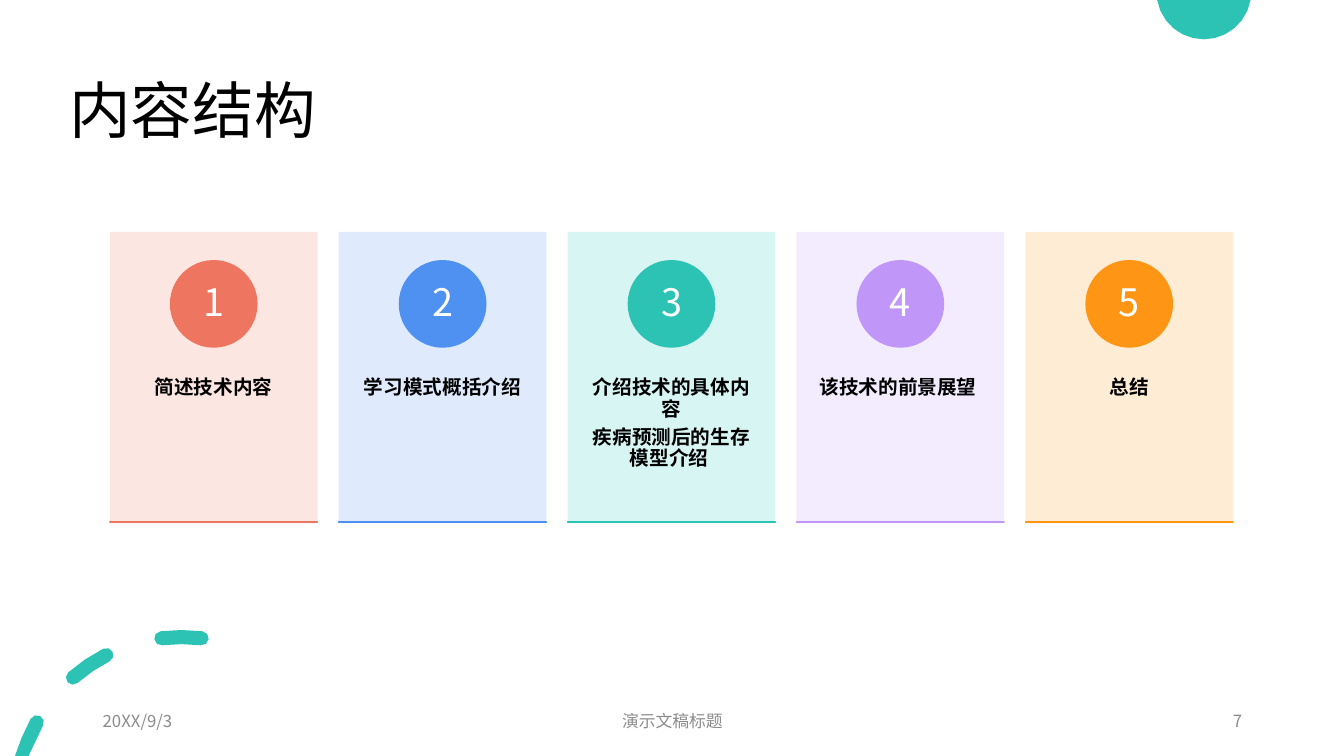
from dataclasses import dataclass
from math import asin, cos, degrees, radians, sin

from lxml.etree import SubElement
from pptx import Presentation
from pptx.dml.color import RGBColor as Rgb
from pptx.enum.shapes import MSO_SHAPE as Kind
from pptx.enum.text import MSO_ANCHOR as Anchor, MSO_AUTO_SIZE as Fit, PP_ALIGN as Align
from pptx.oxml.ns import qn
from pptx.util import Inches, Pt


@dataclass(frozen=True)
class Theme:
    """Colours, font and type sizes of the slide."""
    font: str = "Noto Sans CJK SC"
    ink: str = "000000"
    white: str = "FFFFFF"
    grey: str = "8C8C8C"
    teal: str = "2CC3B4"
    tints: tuple = ("FCE4DF", "DCE9FC", "D3F5F2", "F2EAFE", "FFEAD0")
    tones: tuple = ("EE7661", "4E91F0", "2CC3B4", "C097F8", "FF9514")
    title: int = 44
    digit: int = 27
    label: int = 14
    foot: int = 12


THEME = Theme()
WIDE, HIGH = 13.33, 7.5
TOPICS = (
    ["简述技术内容"],
    ["学习模式概括介绍"],
    ["介绍技术的具体内容", "疾病预测后的生存模型介绍\u00a0"],
    ["该技术的前景展望\u00a0"],
    ["总结"],
)


def paint(shape, color, alpha=None):
    """Fill a shape with one colour, without line or shadow."""
    shape.shadow.inherit = False
    shape.fill.solid()
    shape.fill.fore_color.rgb = Rgb.from_string(color)
    shape.line.fill.background()
    if alpha:
        tint = shape.fill._xPr.find(".//" + qn("a:srgbClr"))
        SubElement(tint, qn("a:alpha"), val=str(alpha * 1000))


def write(slide, box, lines, size, color=THEME.ink, bold=False,
          align=Align.LEFT, anchor=Anchor.MIDDLE, pad=(0.1, 0.05),
          lead=None, after=0):
    """Add a text box with one paragraph for each line."""
    frame = slide.shapes.add_textbox(*map(Inches, box)).text_frame
    frame.auto_size = Fit.NONE
    frame.word_wrap = True
    frame.vertical_anchor = anchor
    frame.margin_left = frame.margin_right = Inches(pad[0])
    frame.margin_top = frame.margin_bottom = Inches(pad[1])
    for i, line in enumerate(lines):
        para = frame.add_paragraph() if i else frame.paragraphs[0]
        para.alignment = align
        para.space_after = Pt(after)
        if lead:
            para.line_spacing = lead
        run = para.add_run()
        run.text = line
        run.font.name = THEME.font
        run.font.size = Pt(size)
        run.font.bold = bold
        run.font.color.rgb = Rgb.from_string(color)
        SubElement(run._r.get_or_add_rPr(), qn("a:ea"), typeface=THEME.font)


def outline(slide, loops, color):
    """Draw closed outlines as one filled freeform."""
    loops = [[(Inches(x), Inches(y)) for x, y in loop] for loop in loops]
    pen = slide.shapes.build_freeform(*loops[0][0], scale=1.0)
    for i, loop in enumerate(loops):
        if i:
            pen.move_to(*loop[0])
        pen.add_line_segments(loop[1:], close=True)
    paint(pen.convert_to_shape(), color)


def arc(x, y, radius, start, end, steps):
    """Return points on a circle, with degrees clockwise from the top."""
    turns = [radians(start + (end - start) * i / steps) for i in range(steps + 1)]
    return [(x + radius * sin(t), y - radius * cos(t)) for t in turns]


def dash(x, y, radius, start, end, half=0.07):
    """Return a curved bar with round ends, cut at the slide's foot."""
    tail, core, head = arc(x, y, radius, start, end, 2)
    mid = (start + end) / 2
    inner, outer = arc(*core, half, mid + 180, mid, 1)
    loop = (arc(*head, half, end, end + 180, 4) + [inner]
            + arc(*tail, half, start + 180, start + 360, 4) + [outer])
    return [(a, min(b, HIGH)) for a, b in loop]


def decor(slide, box):
    """Place the cut disc at the top and the dashed ring at the foot."""
    left, top, wide, high = box
    radius, drop = 0.47, 0.08
    edge = 90 + degrees(asin(drop / radius))
    disc = arc(left + wide - 1.39, top - drop, radius, edge, 360 - edge, 12)
    outline(slide, [disc], THEME.teal)
    spans = (-75, -61), (-41, -27), (-7, 7)
    ring = left + 1.8, top + high + 0.46, 1.64
    outline(slide, [dash(*ring, *span) for span in spans], THEME.teal)


def card(slide, box, number, lines, tint, tone):
    """Place a tinted card with its numbered disc, label and base line."""
    left, top, wide, high = box
    panel = slide.shapes.add_shape(Kind.RECTANGLE, *map(Inches, box))
    paint(panel, tint, alpha=90)
    write(slide, (left, top + 1.09, wide, 1.73), lines, THEME.label, bold=True,
          align=Align.CENTER, anchor=Anchor.TOP, pad=(0.16, 0.36),
          lead=0.9, after=5)
    size = 0.87
    spot = left + (wide - size) / 2, top + 0.28, size, size
    disc = slide.shapes.add_shape(Kind.OVAL, *map(Inches, spot))
    paint(disc, tone)
    inner = spot[0] + 0.13, spot[1] + 0.13, 0.61, 0.61
    write(slide, inner, [str(number)], THEME.digit, THEME.white,
          align=Align.CENTER, pad=(0.07, 0.01), lead=0.9)
    base = left, top + high - 0.01, wide, 0
    bar = slide.shapes.add_shape(Kind.RECTANGLE, *map(Inches, base))
    paint(bar, tone)
    bar.line.color.rgb = Rgb.from_string(tone)
    bar.line.width = Pt(1)


def cards(slide, box):
    """Spread the topic cards evenly over the box."""
    left, top, wide, high = box
    size = 2.06
    step = (wide - size) / (len(TOPICS) - 1)
    rows = zip(TOPICS, THEME.tints, THEME.tones)
    for i, (lines, tint, tone) in enumerate(rows):
        card(slide, (left + i * step, top, size, high), i + 1, lines, tint, tone)


def footer(slide, box):
    """Place date, deck title and page number along the foot."""
    left, top, wide, high = box
    parts = (
        ("20XX/9/3", 0, 3, Align.LEFT),
        ("演示文稿标题", (wide - 4.5) / 2, 4.5, Align.CENTER),
        ("7", wide - 3, 3, Align.RIGHT),
    )
    for text, shift, span, align in parts:
        write(slide, (left + shift, top, span, high), [text],
              THEME.foot, THEME.grey, align=align)


def main():
    """Build the slide and save the deck."""
    deck = Presentation()
    deck.slide_width, deck.slide_height = Inches(WIDE), Inches(HIGH)
    slide = deck.slides.add_slide(deck.slide_layouts[6])
    decor(slide, (0, 0, WIDE, HIGH))
    write(slide, (0.59, 0.4, 11.5, 1.45), ["内容结构"], THEME.title, lead=0.9)
    cards(slide, (1.09, 2.3, 11.14, 2.89))
    footer(slide, (0.92, 6.95, 11.5, 0.4))
    deck.save("out.pptx")


main()
